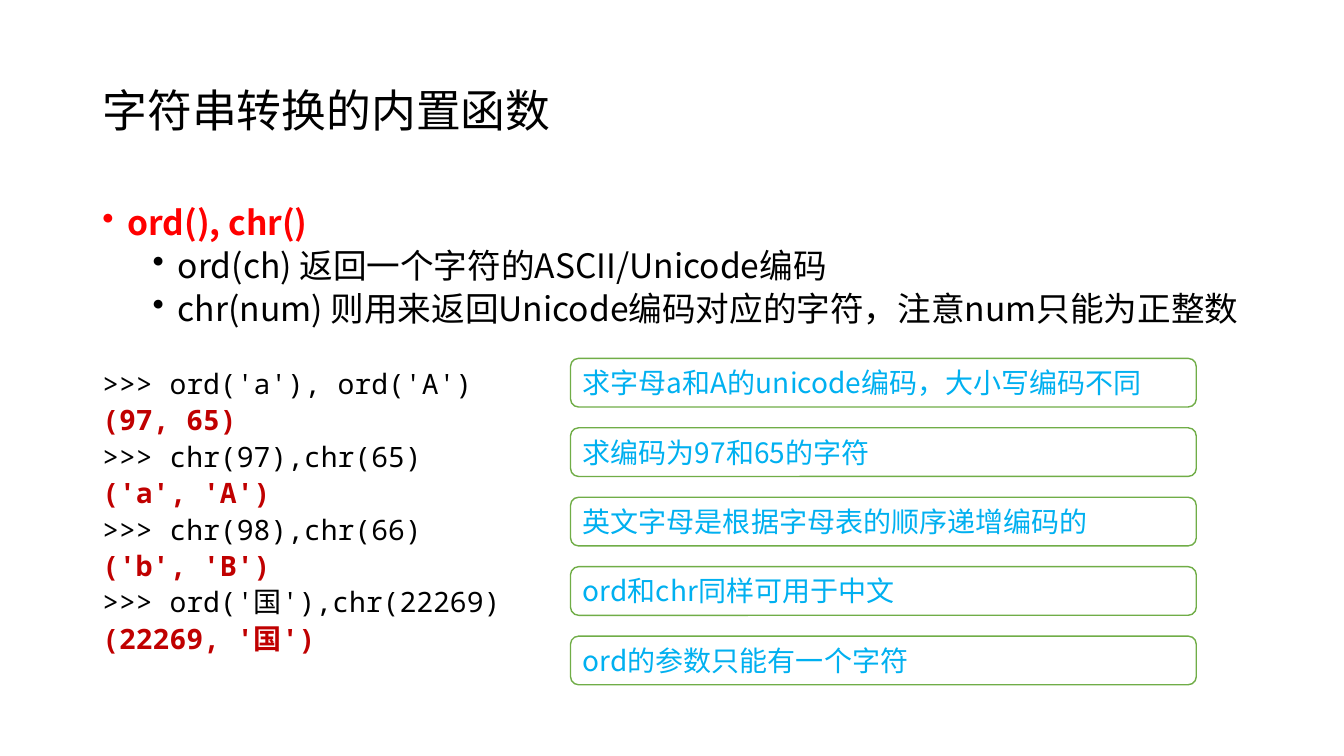
from dataclasses import dataclass

from lxml import etree
from pptx import Presentation
from pptx.dml.color import RGBColor
from pptx.enum.shapes import MSO_SHAPE
from pptx.enum.text import MSO_ANCHOR, MSO_AUTO_SIZE, PP_ALIGN
from pptx.oxml.ns import qn
from pptx.util import Pt

ROUND = MSO_SHAPE.ROUNDED_RECTANGLE
MID, TOP = MSO_ANCHOR.MIDDLE, MSO_ANCHOR.TOP
LEFT = PP_ALIGN.LEFT
FIXED = MSO_AUTO_SIZE.NONE


@dataclass(frozen=True)
class Theme:
    """Hold the fonts, colours and type sizes of the slide."""
    sans: str = "Noto Sans CJK SC"
    mono: str = "Noto Sans Mono"
    black: str = "000000"
    white: str = "FFFFFF"
    red: str = "FF0000"
    dark: str = "C00000"
    blue: str = "00B0F0"
    green: str = "70AD47"
    head: int = 32
    body: int = 24
    code: int = 20


THEME = Theme()
POINTS = [
    (0, "ord(), chr()"),
    (1, "ord(ch) 返回一个字符的ASCII/Unicode编码"),
    (1, "chr(num) 则用来返回Unicode编码对应的字符，注意num只能为正整数"),
]
CODE = [
    (">>> ord('a'), ord('A')", "(97, 65)"),
    (">>> chr(97),chr(65)", "('a', 'A')"),
    (">>> chr(98),chr(66)", "('b', 'B')"),
    (">>> ord('国'),chr(22269)", "(22269, '国')"),
]
NOTES = [
    "求字母a和A的unicode编码，大小写编码不同",
    "求编码为97和65的字符",
    "英文字母是根据字母表的顺序递增编码的",
    "ord和chr同样可用于中文",
    "ord的参数只能有一个字符",
]


def style(para, face, size, color, bold=False):
    """Set the font of a left-aligned paragraph for all scripts."""
    para.alignment = LEFT
    font = para.font
    font.name, font.size, font.bold = face, Pt(size), bold
    font.color.rgb = RGBColor.from_string(color)
    props = para._p.get_or_add_pPr().find(qn("a:defRPr"))
    etree.SubElement(props, qn("a:ea")).set("typeface", face)


def bullet(para, level):
    """Give a paragraph a hanging bullet for its level."""
    para.level = level
    props = para._p.get_or_add_pPr()
    props.set("marL", str(Pt(18 + 36 * level)))
    props.set("indent", str(-Pt(18)))
    mark = etree.Element(qn("a:buChar"), char="•")
    props.find(qn("a:defRPr")).addprevious(mark)


def add_text(frame, first, text):
    """Add a line of text, using the empty first paragraph if asked."""
    para = frame.paragraphs[0] if first else frame.add_paragraph()
    para.text = text
    return para


def add_frame(slide, left, top, width, height):
    """Add a wrapping text box and return its frame."""
    box = slide.shapes.add_textbox(Pt(left), Pt(top), Pt(width), Pt(height))
    box.text_frame.word_wrap = True
    return box.text_frame


def add_title(slide, text):
    """Place and format the title."""
    title = slide.shapes.title
    title.left, title.top = Pt(66), Pt(28.75)
    title.width, title.height = Pt(828), Pt(104.4)
    frame = title.text_frame
    frame.auto_size, frame.vertical_anchor = FIXED, MID
    para = add_text(frame, True, text)
    para.line_spacing = 0.9
    style(para, THEME.sans, THEME.head, THEME.black)


def add_points(slide):
    """Add the bulleted list."""
    frame = add_frame(slide, 66, 143.75, 828, 342.6)
    for num, (level, text) in enumerate(POINTS):
        para = add_text(frame, num == 0, text)
        para.line_spacing = 0.9
        para.space_before = Pt(5 if level else 10)
        color = THEME.black if level else THEME.red
        style(para, THEME.sans, THEME.body, color, level == 0)
        bullet(para, level)


def add_code(slide):
    """Add the shell session with its results in bold."""
    frame = add_frame(slide, 66, 256.3, 812, 217.4)
    for num, pair in enumerate(CODE):
        for reply, text in enumerate(pair):
            para = add_text(frame, num + reply == 0, text)
            para.line_spacing = Pt(26)
            color = THEME.dark if reply else THEME.black
            style(para, THEME.mono, THEME.code, color, reply == 1)


def add_note(slide, top, text):
    """Add one rounded note box."""
    box = slide.shapes.add_shape(ROUND, Pt(407.5), Pt(top), Pt(447), Pt(34.75))
    box.shadow.inherit = False
    box.fill.solid()
    box.fill.fore_color.rgb = RGBColor.from_string(THEME.white)
    box.line.color.rgb = RGBColor.from_string(THEME.green)
    box.line.width = Pt(1)
    frame = box.text_frame
    frame.word_wrap, frame.vertical_anchor = True, TOP
    para = add_text(frame, True, text)
    style(para, THEME.sans, THEME.code, THEME.blue)


def main():
    """Build and save the slide."""
    deck = Presentation()
    deck.slide_width, deck.slide_height = Pt(960), Pt(540)
    slide = deck.slides.add_slide(deck.slide_layouts[5])
    add_points(slide)
    add_title(slide, "字符串转换的内置函数")
    add_code(slide)
    for num, text in enumerate(NOTES):
        add_note(slide, 256 + 49.6 * num, text)
    deck.save("out.pptx")


if __name__ == "__main__":
    main()
